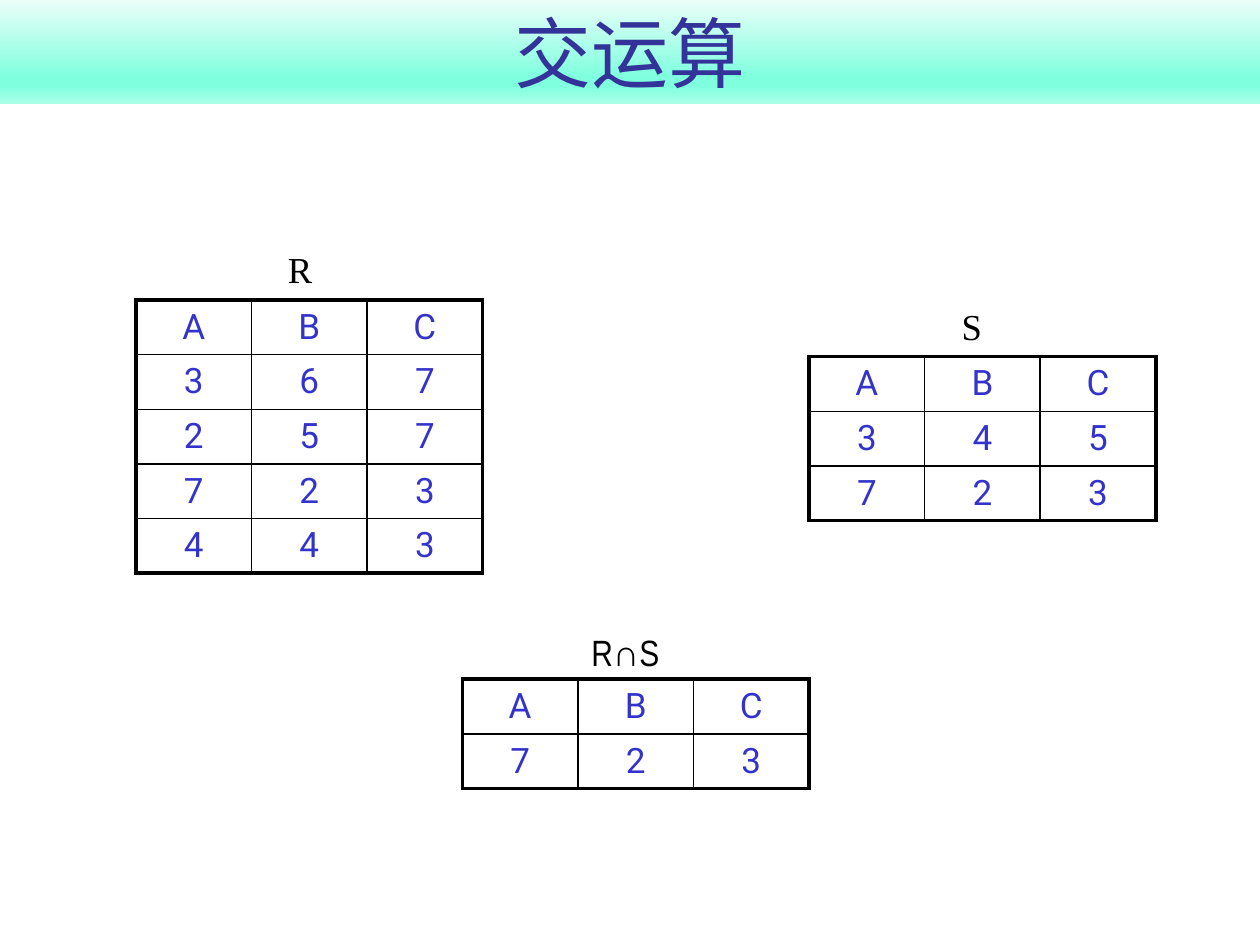
from dataclasses import dataclass

from lxml.etree import SubElement
from pptx import Presentation
from pptx.dml.color import RGBColor
from pptx.enum.text import MSO_ANCHOR, MSO_AUTO_SIZE, PP_ALIGN
from pptx.oxml.ns import qn
from pptx.util import Cm, Pt

COL_W, ROW_H, LABEL_H = 2.33, 1.1, 1.78
OUTER, INNER = Pt(2.25), Pt(1)
BAND = [(0, "F1FFFB"), (74, "80FFDE"), (83, "80FFDE"), (100, "AAFFE9")]


@dataclass
class Relation:
    """A table with its label; positions in centimetres."""
    name: str
    left: float
    top: float
    rows: list[str]
    label_left: float
    label_top: float
    label_width: float = 2.34
    label_font: str = "Times New Roman"


RELATIONS = [
    Relation("R", 2.74, 6.05, ["ABC", "367", "257", "723", "443"], 4.88, 3.94),
    Relation("S", 16.31, 7.19, ["ABC", "345", "723"], 18.42, 5.08),
    Relation("R∩S ", 9.32, 13.69, ["ABC", "723"], 11, 11.66, 3.38, "Arial Narrow"),
]


def rgb(color: str) -> RGBColor:
    return RGBColor.from_string(color)


def write(tf, text: str, font: str, size: float, color: str):
    """Set one centred line and return its run."""
    tf.text = text
    p = tf.paragraphs[0]
    p.alignment = PP_ALIGN.CENTER
    r = p.runs[0]
    r.font.name, r.font.size = font, Pt(size)
    r.font.color.rgb = rgb(color)
    return r


def set_border(cell, side: str, width: int) -> None:
    ln = SubElement(cell._tc.get_or_add_tcPr(), qn(f"a:ln{side}"), w=str(width))
    fill = SubElement(ln, qn("a:solidFill"))
    SubElement(fill, qn("a:srgbClr"), val="000000")


def add_title(s, text: str) -> None:
    sp = s.shapes.title
    sp.left, sp.top, sp.width, sp.height = Cm(0), Cm(-0.08), Cm(25.4), Cm(2.18)
    sp.fill.gradient()
    sp.fill.gradient_angle = 270
    stops = sp._element.spPr.find(".//" + qn("a:gsLst"))
    stops.clear()
    for percent, color in BAND:
        gs = SubElement(stops, qn("a:gs"), pos=str(percent * 1000))
        SubElement(gs, qn("a:srgbClr"), val=color)
    tf = sp.text_frame
    tf.auto_size = MSO_AUTO_SIZE.NONE
    tf.vertical_anchor = MSO_ANCHOR.BOTTOM
    write(tf, text, "Roboto", 44, "333399")


def add_table(s, rel: Relation) -> None:
    n_rows, n_cols = len(rel.rows), len(rel.rows[0])
    table = s.shapes.add_table(n_rows, n_cols, Cm(rel.left), Cm(rel.top),
                               Cm(n_cols * COL_W), Cm(n_rows * ROW_H)).table
    table.first_row = table.horz_banding = False
    for column in table.columns:
        column.width = Cm(COL_W)
    for i, values in enumerate(rel.rows):
        table.rows[i].height = Cm(ROW_H)
        for j, value in enumerate(values):
            cell = table.cell(i, j)
            cell.vertical_anchor = MSO_ANCHOR.MIDDLE
            write(cell.text_frame, value, "Roboto", 20, "3333CC")
            edges = {"L": j == 0, "R": j == n_cols - 1,
                     "T": i == 0, "B": i == n_rows - 1}
            for side, is_outer in edges.items():
                set_border(cell, side, OUTER if is_outer else INNER)
            cell.fill.background()


def add_label(s, rel: Relation) -> None:
    """Add the relation's name as lowered (subscript) text."""
    tf = s.shapes.add_textbox(Cm(rel.label_left), Cm(rel.label_top),
                              Cm(rel.label_width), Cm(LABEL_H)).text_frame
    tf.word_wrap = True
    tf.auto_size = MSO_AUTO_SIZE.SHAPE_TO_FIT_TEXT
    r = write(tf, rel.name, rel.label_font, 36, "000000")
    r._r.get_or_add_rPr().set("baseline", "-30000")


def main() -> None:
    prs = Presentation()
    prs.slide_width, prs.slide_height = Cm(25.4), Cm(19.05)
    s = prs.slides.add_slide(prs.slide_layouts[5])
    add_title(s, "交运算")
    for rel in RELATIONS:
        add_table(s, rel)
        add_label(s, rel)
    prs.save("out.pptx")


if __name__ == "__main__":
    main()
